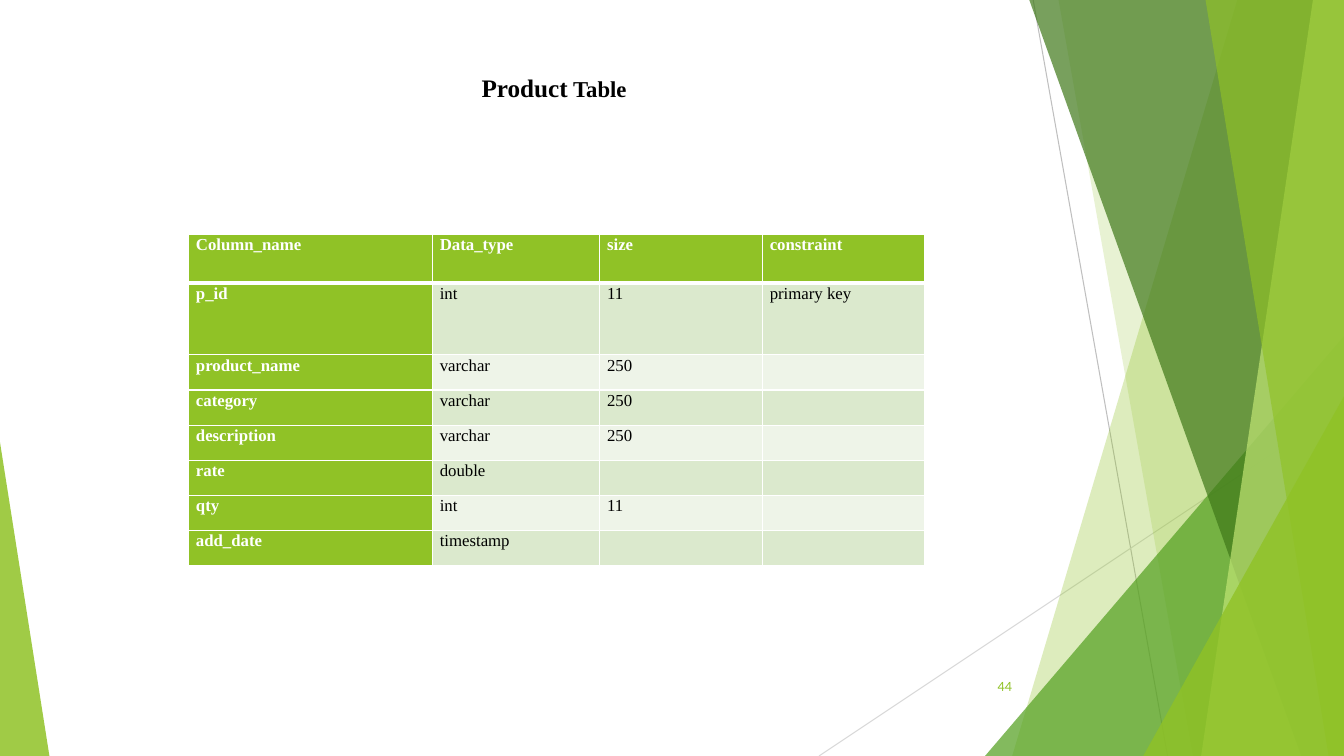
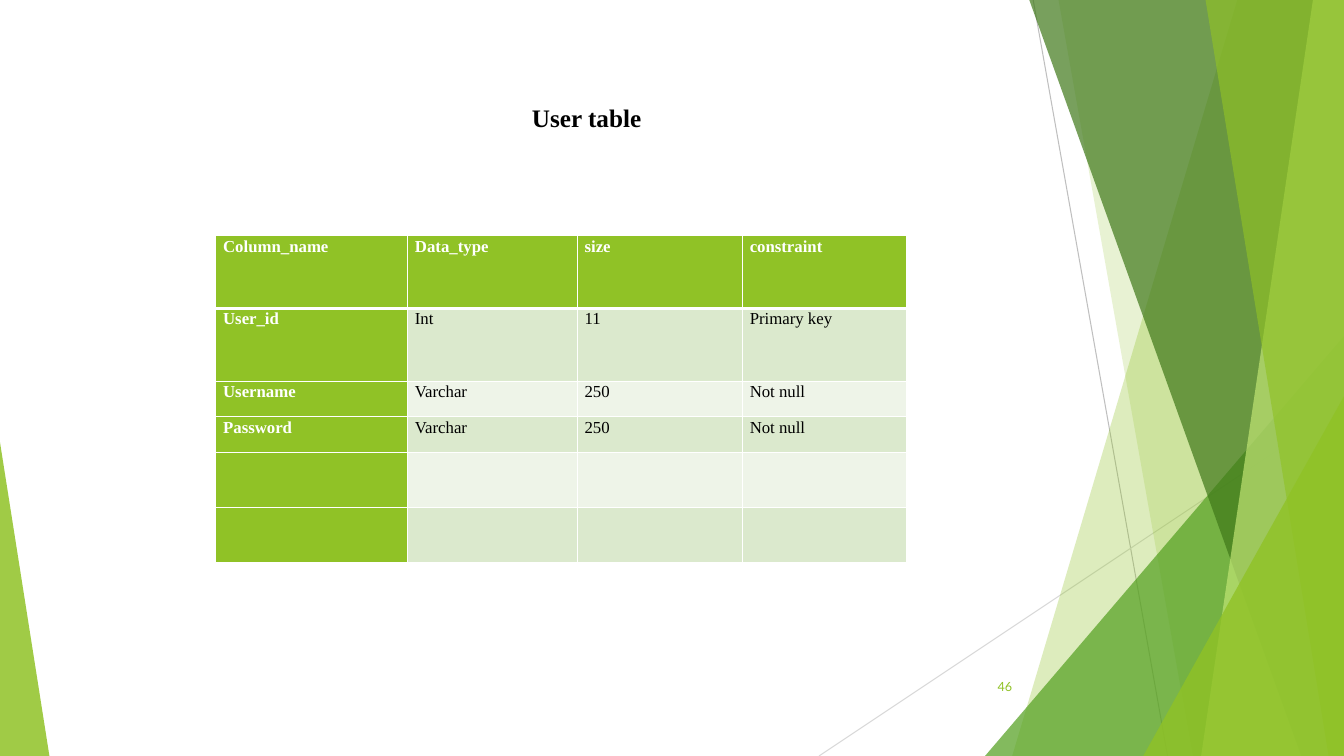
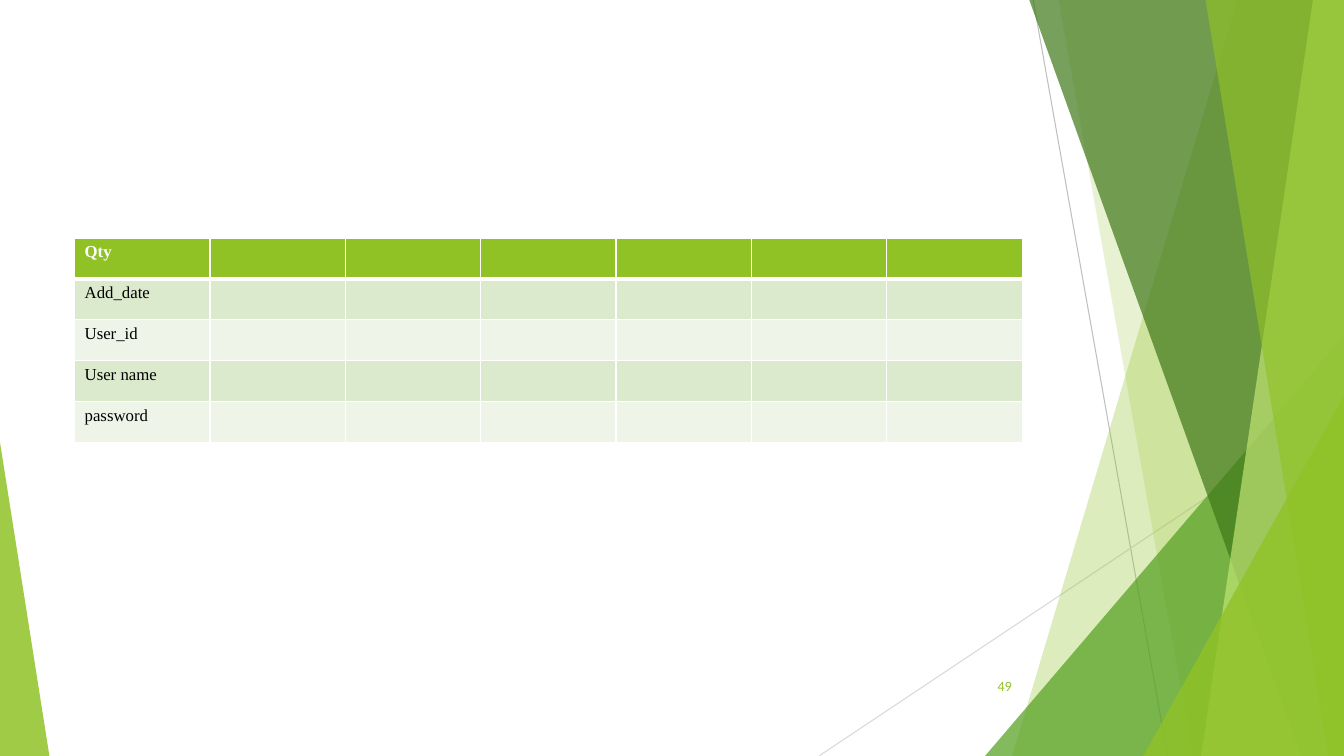
from dataclasses import dataclass
from lxml.etree import SubElement
from pptx import Presentation
from pptx.dml.color import RGBColor
from pptx.enum.shapes import MSO_CONNECTOR, MSO_SHAPE
from pptx.enum.text import MSO_ANCHOR, PP_ALIGN
from pptx.oxml.ns import qn
from pptx.util import Pt


@dataclass(frozen=True)
class Theme:
    serif: str = "Times New Roman"
    sans: str = "Lato"
    lime: str = "90C226"
    leaf: str = "54A021"
    forest: str = "3F7819"
    pale: str = "C0E474"
    band_dark: str = "DBE9CD"
    band_light: str = "EEF4E8"
    white: str = "FFFFFF"
    black: str = "000000"
    line_dark: str = "BFBFBF"
    line_light: str = "D9D9D9"
    title: float = 18
    title_small: float = 16.2
    body: float = 12
    number: float = 9


T = Theme()
W, H = 960, 540
TITLE_BOX = (53.3, 48.2, 676.8, 49.7)
TITLE_BOX_TALL = (53.3, 48.2, 676.8, 64.8)
NUMBER_BOX = (676, 476, 54, 28.8)

# Facet outlines: left and right x at the top, left and right x at the bottom
LINES = [((738, 0), (834, H), T.line_dark), ((W, 290), (585, H), T.line_light)]
FACETS = [
    ("quad", (884, 723), T.lime, 30),
    ("quad", (756, 852), T.lime, 20),
    ("triangle", (703.6, 240, 256.4, 300, 1), T.leaf, 72),
    ("quad", (735, 929.5), T.forest, 70),
    ("quad", (938, 858), T.pale, 70),
    ("quad", (861, 949), T.lime, 65),
    ("triangle", (816.6, 283, 143.4, 257, 1), T.lime, 80),
    ("triangle", (0, 316, 35.3, 224, 0), T.lime, 85),
]


def rgb(color):
    return RGBColor.from_string(color)


def pts(*values):
    return [Pt(v) for v in values]


def add_run(p, text, size, color, font=T.serif, bold=False):
    r = p.add_run()
    r.text = text
    r.font.name, r.font.size, r.font.bold = font, Pt(size), bold
    r.font.color.rgb = rgb(color)


def add_text_frame(s, box):
    tf = s.shapes.add_textbox(*pts(*box)).text_frame
    tf.word_wrap = True
    return tf


def paint(sp, color, opacity):
    sp.shadow.inherit = False
    sp.line.fill.background()
    sp.fill.solid()
    sp.fill.fore_color.rgb = rgb(color)
    clr = sp.fill._xPr.find(qn("a:solidFill"))[0]
    SubElement(clr, qn("a:alpha")).set("val", str(opacity * 1000))


def add_facets(s):
    shapes = s.shapes.add_group_shape().shapes
    # Thin lines behind the facets
    for start, end, color in LINES:
        ln = shapes.add_connector(MSO_CONNECTOR.STRAIGHT, *pts(*start, *end))
        ln.line.color.rgb = rgb(color)
        ln.line.width = Pt(0.75)
        SubElement(ln._element.spPr, qn("a:effectLst"))
    # Translucent facets
    for kind, geometry, color, opacity in FACETS:
        if kind == "quad":
            top, bottom = geometry
            fb = shapes.build_freeform(Pt(top), Pt(-0.7))
            corners = [(W, -0.7), (W, H), (bottom, H)]
            fb.add_line_segments([pts(*c) for c in corners], close=True)
            sp = fb.convert_to_shape()
        else:
            *box, apex = geometry
            sp = shapes.add_shape(MSO_SHAPE.ISOSCELES_TRIANGLE, *pts(*box))
            sp.adjustments[0] = apex
        paint(sp, color, opacity)


def add_title(s, box, indent, runs, top=3.6):
    tf = add_text_frame(s, box)
    tf.margin_left, tf.margin_top = Pt(7.2 + indent), Pt(top)
    for text, size in runs:
        add_run(tf.paragraphs[0], text, size, T.black, bold=True)


def add_number(s, box, number):
    tf = add_text_frame(s, box)
    tf.vertical_anchor = MSO_ANCHOR.MIDDLE
    p = tf.paragraphs[0]
    p.alignment = PP_ALIGN.RIGHT
    add_run(p, str(number), T.number, T.lime, T.sans)


def add_borders(cell, top, bottom):
    tc_pr = cell._tc.get_or_add_tcPr()
    for side, width in (("L", 1), ("R", 1), ("T", top), ("B", bottom)):
        ln = SubElement(tc_pr, qn(f"a:ln{side}"), w=str(Pt(width)))
        SubElement(SubElement(ln, qn("a:solidFill")), qn("a:srgbClr"), val=T.white)


def add_grid(s, left, top, cols, heights, rows, row_heads=True):
    box = pts(left, top, sum(cols), sum(heights))
    tbl = s.shapes.add_table(len(heights), len(cols), *box).table
    tbl.first_row = tbl.horz_banding = False
    for col, width in zip(tbl.columns, cols):
        col.width = Pt(width)
    for i, (row, height, texts) in enumerate(zip(tbl.rows, heights, rows)):
        row.height = Pt(height)
        for j, cell in enumerate(row.cells):
            head = i == 0 or (row_heads and j == 0)
            add_borders(cell, 3 if i == 1 else 1, 3 if i == 0 else 1)
            cell.fill.solid()
            band = T.band_dark if i % 2 else T.band_light
            cell.fill.fore_color.rgb = rgb(T.lime if head else band)
            cell.margin_left = cell.margin_right = Pt(5.2 if row_heads else 7.2)
            cell.margin_top = Pt(0 if row_heads else 3.6)
            cell.margin_bottom = Pt(0)
            if j < len(texts) and texts[j]:
                p = cell.text_frame.paragraphs[0]
                if row_heads:
                    p.line_spacing, p.space_after = 1.07, Pt(8)
                add_run(p, texts[j], T.body, T.white if head else T.black, bold=head)


def add_slide(prs, number):
    s = prs.slides.add_slide(prs.slide_layouts[6])
    add_facets(s)
    add_number(s, NUMBER_BOX, number)
    return s


SCHEMA_HEAD = ("Column_name", "Data_type", "size", "constraint")


def product_slide(prs):
    s = add_slide(prs, 44)
    add_title(s, TITLE_BOX, 283.5, [("Product", T.title), (" Table", T.title_small)])
    add_grid(s, 134.8, 167.6, (174.2, 119.5, 116.2, 115.9),
             [34.5, 51.4] + [25.1] * 6, [
        SCHEMA_HEAD,
        ("p_id", "int", "11", "primary key"),
        ("product_name", "varchar", "250"),
        ("category", "varchar", "250"),
        ("description", "varchar", "250"),
        ("rate", "double"),
        ("qty", "int", "11"),
        ("add_date", "timestamp"),
    ])


def user_slide(prs):
    s = add_slide(prs, 46)
    add_title(s, TITLE_BOX_TALL, 319.5, [("User table", T.title)], top=24.8)
    add_grid(s, 154.2, 168.4, (137, 121.2, 118, 117.2),
             [52] * 2 + [25.4] * 2 + [39.5] * 2, [
        SCHEMA_HEAD,
        ("User_id", "Int", "11", "Primary key"),
        ("Username", "Varchar", "250", "Not null"),
        ("Password", "Varchar", "250", "Not null"),
        (),
        (),
    ])


def fields_slide(prs):
    s = add_slide(prs, 49)
    fields = ("Qty", "Add_date", "User_id", "User name", "password")
    add_grid(s, 53.3, 170, [96.7] * 7, [29.2] * 5,
             [(field,) for field in fields], row_heads=False)


def main():
    prs = Presentation()
    prs.slide_width, prs.slide_height = Pt(W), Pt(H)
    for build in (product_slide, user_slide, fields_slide):
        build(prs)
    prs.save("out.pptx")


if __name__ == "__main__":
    main()
